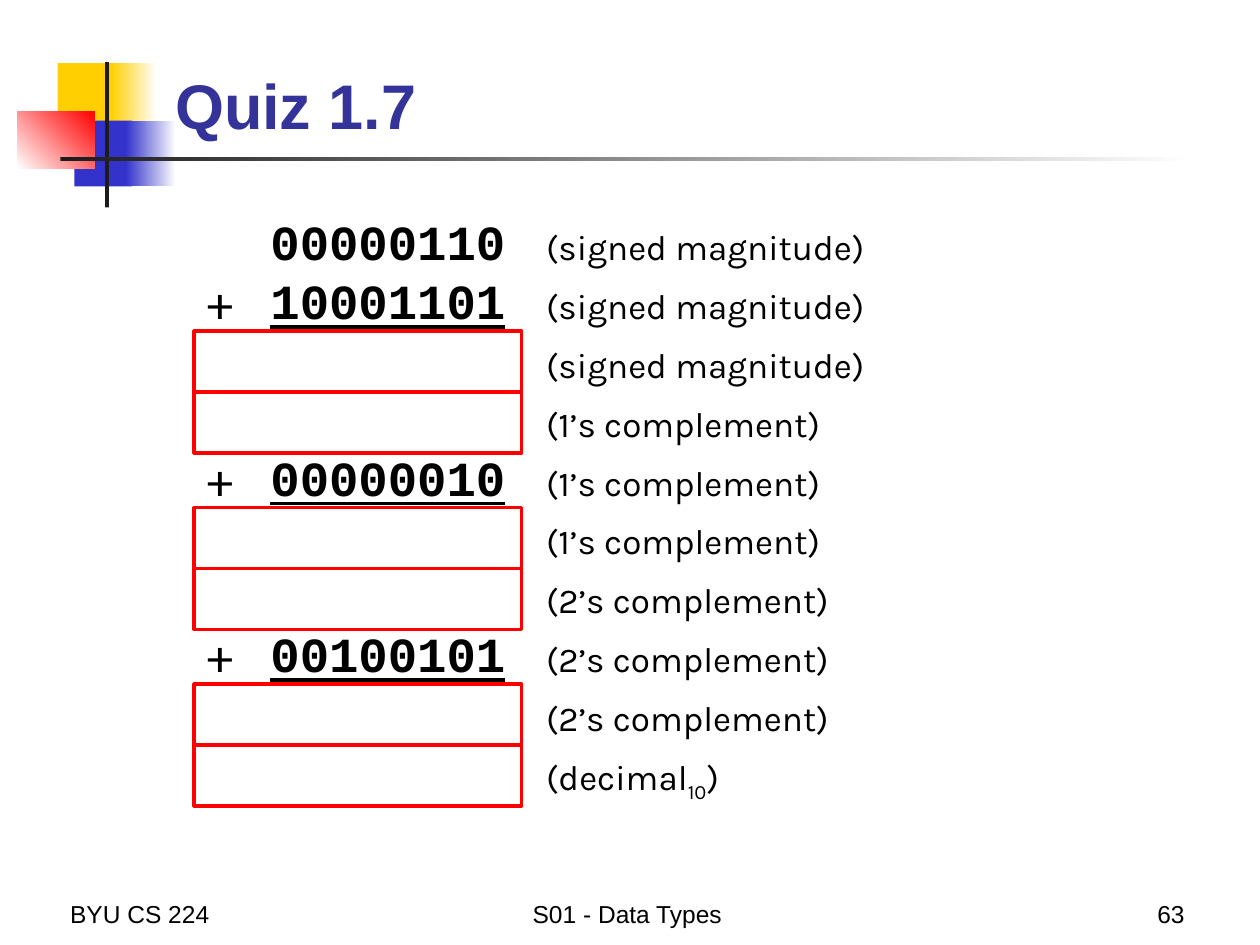
from dataclasses import dataclass
from lxml.etree import SubElement
from pptx import Presentation
from pptx.dml.color import RGBColor
from pptx.enum.shapes import MSO_SHAPE
from pptx.enum.text import MSO_ANCHOR, PP_ALIGN
from pptx.oxml.ns import qn
from pptx.util import Pt


@dataclass(frozen=True)
class Theme:
    """Colours, fonts and type sizes of the slide."""
    white: str = "FFFFFF"
    black: str = "000000"
    dark: str = "1C1C1C"
    yellow: str = "FFCF01"
    blue: str = "3333CC"
    red: str = "FF0000"
    title: str = "333399"
    sans: str = "Arial"
    body: str = "Karla"
    mono: str = "Courier New"
    title_size: int = 36
    number_size: int = 28
    label_size: int = 20
    footer_size: int = 14


THEME = Theme()


def add_rectangle(slide, box, colors=(), angle=0, line=None):
    """Add a rectangle with no fill, one colour or a two-colour gradient."""
    shape = slide.shapes.add_shape(MSO_SHAPE.RECTANGLE, *map(Pt, box))
    shape.shadow.inherit = False
    if len(colors) == 2:
        shape.fill.gradient()
        shape.fill.gradient_angle = angle
        for stop, color in zip(shape.fill.gradient_stops, colors):
            stop.color.rgb = RGBColor.from_string(color)
    elif colors:
        shape.fill.solid()
        shape.fill.fore_color.rgb = RGBColor.from_string(colors[0])
    else:
        shape.fill.background()
    if line:
        shape.line.color.rgb = RGBColor.from_string(line)
        shape.line.width = Pt(2)
    else:
        shape.line.fill.background()


def add_run(paragraph, text, color=THEME.black, **formats):
    """Add a run and set its font from the format values."""
    run = paragraph.add_run()
    run.text = text
    run.font.color.rgb = RGBColor.from_string(color)
    for name, value in formats.items():
        setattr(run.font, name, value)
    return run


def add_text_frame(slide, box, anchor):
    """Add a wrapping text box and return its text frame."""
    frame = slide.shapes.add_textbox(*map(Pt, box)).text_frame
    frame.word_wrap = True
    frame.vertical_anchor = anchor
    return frame


def add_tabs(paragraph, positions):
    """Give a paragraph left tab stops at the positions."""
    tab_list = SubElement(paragraph._p.get_or_add_pPr(), qn("a:tabLst"))
    for position in positions:
        SubElement(tab_list, qn("a:tab"), pos=str(Pt(position)), algn="l")


def add_ornament(slide, box):
    """Draw the coloured blocks and the crossing rules behind the title."""
    left, top, width, height = box
    parts = [
        ((23, 0.5, 34.5, 37.5), (THEME.yellow,), 0),
        ((53.5, 0.5, 26, 37.5), (THEME.yellow, THEME.white), 0),
        ((32.5, 33.5, 33, 37.5), (THEME.blue,), 0),
        ((62, 33.5, 28.5, 37.5), (THEME.blue, THEME.white), 0),
        ((0, 28, 44, 33), (THEME.white, THEME.red), 45),
        ((50, 0, 2.3, height), (THEME.dark,), 0),
        ((24.5, 54, width - 24.5, 2.3), (THEME.dark, THEME.white), 0),
    ]
    for (x, y, part_width, part_height), colors, angle in parts:
        add_rectangle(slide, (left + x, top + y, part_width, part_height), colors, angle)


def add_title(slide, box, text):
    """Place the slide title at the bottom of its box."""
    paragraph = add_text_frame(slide, box, MSO_ANCHOR.BOTTOM).paragraphs[0]
    add_run(paragraph, text, THEME.title, name=THEME.sans, size=Pt(THEME.title_size), bold=True)


def add_sums(slide, box, rows):
    """Write the rows of binary numbers with their notation labels."""
    frame = add_text_frame(slide, box, MSO_ANCHOR.TOP)
    large = {"size": Pt(THEME.number_size), "name": THEME.body}
    small = {"size": Pt(THEME.label_size), "name": THEME.body}
    for index, (sign, number, label, subscript) in enumerate(rows):
        paragraph = frame.add_paragraph() if index else frame.paragraphs[0]
        add_tabs(paragraph, (36, 193.5))
        add_run(paragraph, sign + "\t", **large)
        if number:
            add_run(paragraph, number, name=THEME.mono, size=Pt(THEME.number_size),
                    bold=True, underline=bool(sign))
        add_run(paragraph, "\t", **large)
        add_run(paragraph, "(" + label, **small)
        if subscript:
            run = add_run(paragraph, subscript, **small)
            run.font._element.set("baseline", "-25000")
        add_run(paragraph, ")", **small)


def add_answer_boxes(slide, box, groups=3, pitch=100.8):
    """Outline a pair of empty answer boxes below each sum."""
    left, top, width, height = box
    for group in range(groups):
        for row in range(2):
            add_rectangle(slide, (left, top + group * pitch + row * height, width, height),
                          line=THEME.red)


def add_footer(slide, box, texts):
    """Place the left, centre and right footer texts."""
    left, top, width, height = box
    side, middle = 150, 302.4
    columns = [
        (left, side, PP_ALIGN.LEFT),
        (left + (width - middle) / 2, middle, PP_ALIGN.CENTER),
        (left + width - side, side, PP_ALIGN.RIGHT),
    ]
    for text, (x, column_width, alignment) in zip(texts, columns):
        frame = add_text_frame(slide, (x, top, column_width, height), MSO_ANCHOR.BOTTOM)
        frame.paragraphs[0].alignment = alignment
        add_run(frame.paragraphs[0], text, name=THEME.sans, size=Pt(THEME.footer_size))


def main():
    """Build the quiz slide and save it."""
    presentation = Presentation()
    presentation.slide_width, presentation.slide_height = Pt(720), Pt(540)
    slide = presentation.slides.add_slide(presentation.slide_layouts[6])
    signed, ones, twos = "signed magnitude", "1’s complement", "2’s complement"
    rows = [
        ("", "00000110", signed, ""),
        ("+", "10001101", signed, ""),
        ("", "", signed, ""),
        ("", "", ones, ""),
        ("+", "00000010", ones, ""),
        ("", "", ones, ""),
        ("", "", twos, ""),
        ("+", "00100101", twos, ""),
        ("", "", twos, ""),
        ("", "", "decimal", "10"),
    ]
    add_ornament(slide, (10, 35.5, 672.5, 83))
    add_title(slide, (93, 16.5, 613.5, 68.5), "Quiz 1.7")
    add_sums(slide, (111.5, 117.5, 493, 346.5), rows)
    add_answer_boxes(slide, (111, 189.3, 187, 34.8))
    add_footer(slide, (33, 498, 651, 36), ("BYU CS 224", "S01 - Data Types", "63"))
    presentation.save("out.pptx")


if __name__ == "__main__":
    main()
